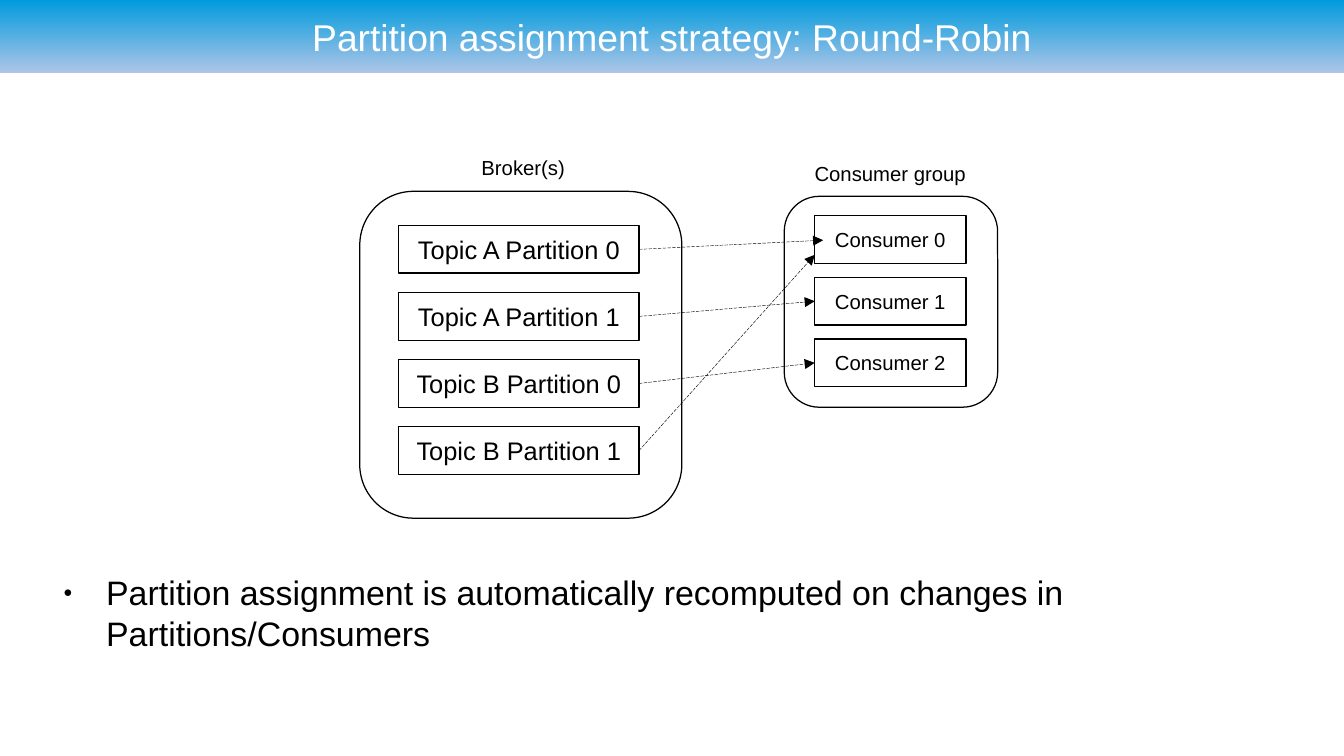
import lxml.etree
import pptx
import pptx.dml.color
import pptx.enum.dml
import pptx.enum.shapes
import pptx.enum.text
import pptx.oxml.ns
import pptx.util

WIDE, HIGH = 11.02, 6.2
COLS = ROWS = 100
HUES = {"ink": "000000", "pale": "ADC5E7", "deep": "009BDD", "white": "FFFFFF"}
FONT = "Arial"
KINDS = pptx.enum.shapes.MSO_SHAPE
MIDDLE = pptx.enum.text.MSO_ANCHOR.MIDDLE
TOP = pptx.enum.text.MSO_ANCHOR.TOP
CENTER = pptx.enum.text.PP_ALIGN.CENTER
LEFT = pptx.enum.text.PP_ALIGN.LEFT
FLUSH = dict.fromkeys(
    ("margin_left", "margin_top", "margin_right", "margin_bottom"), 0)

# Boxes are (column, row, columns, rows)
BAND = (0, 0, COLS, 9.68)
TITLE = (5, 0.65, 90, 8.39)
BODY = (3.63, 75.65, 92.56, 13.87)
BROKER = (26.77, 25.32, 23.96, 43.23)
GROUP = (58.35, 25.97, 15.88, 27.9)
LABELS = {"Broker(s)": (33.03, 19.68, 11.8, 4.84),
          "Consumer group": (60.34, 20.48, 11.8, 4.84)}
TOPIC, TOPIC_STEP = (29.67, 29.84, 17.88, 6.29), 8.87
USER, USER_STEP = (60.62, 28.55, 11.25, 6.29), 8.15


def hue(name):
    return pptx.dml.color.RGBColor.from_string(HUES[name])


def point(col, row):
    """Turn a grid position into slide lengths."""
    return (pptx.util.Inches(WIDE * col / COLS),
            pptx.util.Inches(HIGH * row / ROWS))


def place(box):
    return point(*box[:2]) + point(*box[2:])


def apply(item, values):
    for name, value in values.items():
        setattr(item, name, value)


def node(parent, tag, **attrs):
    return lxml.etree.SubElement(parent, pptx.oxml.ns.qn(tag), attrs)


def write(shape, text, size, tint="ink", align=CENTER, **frame):
    """Fill a shape with one paragraph and return that paragraph."""
    block = shape.text_frame
    apply(block, {"word_wrap": False, "vertical_anchor": MIDDLE,
                  "auto_size": pptx.enum.text.MSO_AUTO_SIZE.NONE, **frame})
    para = block.paragraphs[0]
    apply(para, {"alignment": align, "space_before": pptx.util.Pt(0)})
    run = para.add_run()
    run.text = text
    apply(run.font, {"name": FONT, "size": pptx.util.Pt(size)})
    run.font.color.rgb = hue(tint)
    return para


def outline(slide, box, kind=KINDS.RECTANGLE):
    shape = slide.shapes.add_shape(kind, *place(box))
    shape.shadow.inherit = False
    shape.fill.background()
    shape.line.color.rgb = hue("ink")
    shape.line.width = pptx.util.Pt(0)
    return shape


def stack(slide, names, box, step, size):
    """Draw named boxes below each other at an equal step."""
    col, row, cols, rows = box
    shapes = []
    for index, name in enumerate(names):
        shape = outline(slide, (col, row + index * step, cols, rows))
        write(shape, name, size)
        shapes.append(shape)
    return shapes


def arrow(slide, start, goal):
    """Link a box's right side to another box or to a grid point."""
    free = isinstance(goal, tuple)
    end = point(*goal) if free else (goal.left, goal.top)
    link = slide.shapes.add_connector(
        pptx.enum.shapes.MSO_CONNECTOR.STRAIGHT, start.left, start.top, *end)
    link.begin_connect(start, 3)
    if not free:
        link.end_connect(goal, 1)
    link.line.color.rgb = hue("ink")
    apply(link.line, {"width": pptx.util.Pt(0.25),
                      "dash_style": pptx.enum.dml.MSO_LINE.LONG_DASH})
    node(link.line._get_or_add_ln(), "a:tailEnd", type="triangle")
    node(link.element.spPr, "a:effectLst")


def header(slide, text):
    band = outline(slide, BAND)
    band.line.fill.background()
    band.fill.gradient()
    band.fill.gradient_angle = 90
    for stop, name in zip(band.fill.gradient_stops, ("pale", "deep")):
        stop.color.rgb = hue(name)
    title = slide.shapes.title
    title.element.addprevious(band.element)
    title.left, title.top, title.width, title.height = place(TITLE)
    write(title, text, 22, "white", **FLUSH)


def bullet(slide, text):
    body = slide.placeholders[1]
    body.left, body.top, body.width, body.height = place(BODY)
    para = write(body, text, 20, align=LEFT, word_wrap=True,
                 vertical_anchor=TOP, **FLUSH)
    props = para._p.get_or_add_pPr()
    props.set("marL", str(pptx.util.Inches(0.47)))
    props.set("indent", str(pptx.util.Inches(-0.35)))
    node(node(props, "a:buClr"), "a:srgbClr", val=HUES["ink"])
    node(props, "a:buSzPct", val="45000")
    node(props, "a:buFont", typeface=FONT)
    node(props, "a:buChar", char="●")


def main():
    deck = pptx.Presentation()
    deck.slide_width, deck.slide_height = point(COLS, ROWS)
    slide = deck.slides.add_slide(deck.slide_layouts[1])
    header(slide, "Partition assignment strategy: Round-Robin")
    for box in (BROKER, GROUP):
        outline(slide, box, KINDS.ROUNDED_RECTANGLE)
    for text, box in LABELS.items():
        write(slide.shapes.add_textbox(*place(box)), text, 12)
    topics = stack(slide, [f"Topic {name} Partition {part}"
                           for name in "AB" for part in range(2)],
                   TOPIC, TOPIC_STEP, 15)
    users = stack(slide, [f"Consumer {index}" for index in range(3)],
                  USER, USER_STEP, 12)
    goals = ((61.25, 31.77), users[1], users[2], (60.62, 33.71))
    for topic, goal in zip(topics, goals):
        arrow(slide, topic, goal)
    bullet(slide, "Partition assignment is automatically recomputed on "
                  "changes in Partitions/Consumers")
    deck.save("out.pptx")


if __name__ == "__main__":
    main()
